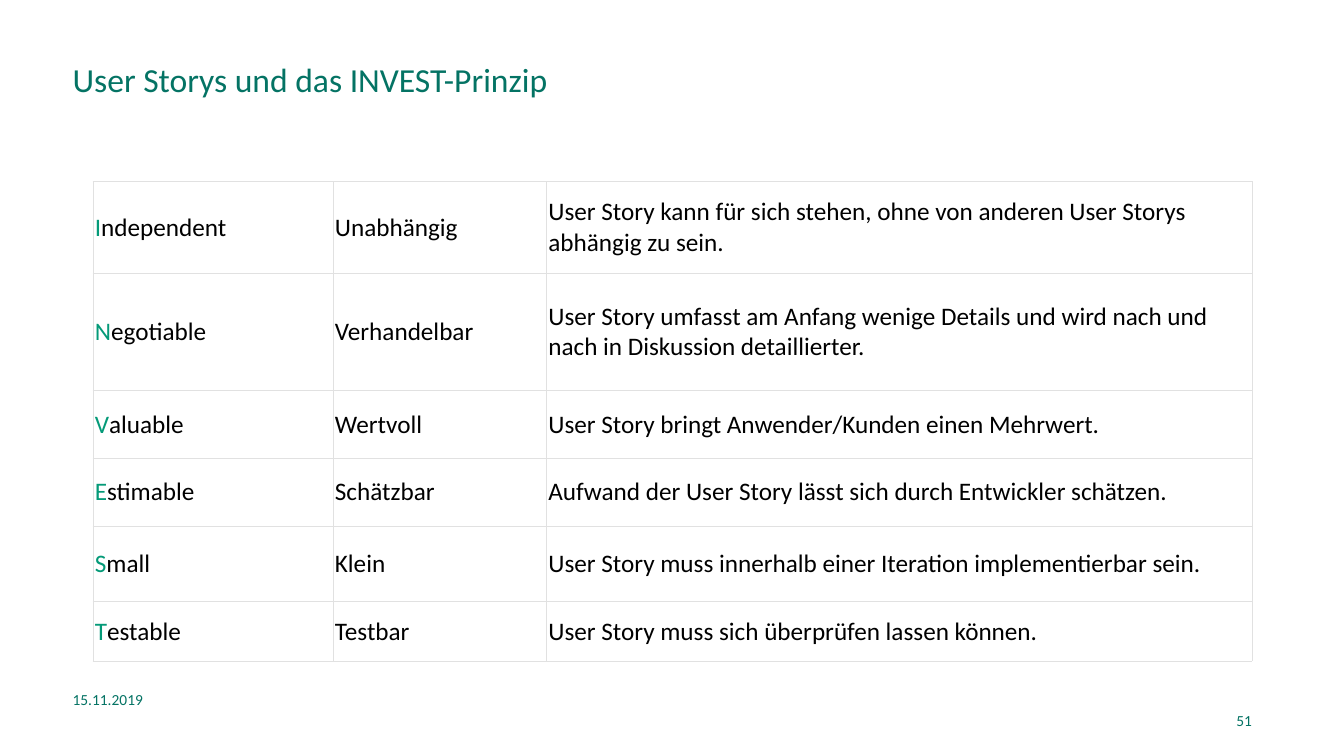
from lxml.etree import SubElement
from pptx import Presentation
from pptx.dml.color import RGBColor
from pptx.enum.text import MSO_ANCHOR as Anchor, PP_ALIGN as Align
from pptx.oxml.ns import qn
from pptx.util import Cm, Pt

DARK_GREEN = RGBColor(0x04, 0x73, 0x64)
BRIGHT_GREEN = RGBColor(0x04, 0x9A, 0x78)
BLACK = RGBColor(0, 0, 0)
WHITE = RGBColor(0xFF, 0xFF, 0xFF)
BORDER_GRAY = RGBColor(0xE1, 0xE1, 0xE1)

COLUMN_WIDTHS = [6.05, 5.38, 17.78]
# Row height, English term, German term, explanation
PRINCIPLES = [
    (2.32, "Independent", "Unabhängig",
     "User Story kann für sich stehen, ohne von anderen User Storys abhängig zu sein."),
    (2.95, "Negotiable", "Verhandelbar",
     "User Story umfasst am Anfang wenige Details und wird nach und nach in Diskussion detaillierter."),
    (1.71, "Valuable", "Wertvoll",
     "User Story bringt Anwender/Kunden einen Mehrwert."),
    (1.71, "Estimable", "Schätzbar",
     "Aufwand der User Story lässt sich durch Entwickler schätzen."),
    (1.9, "Small", "Klein",
     "User Story muss innerhalb einer Iteration implementierbar sein."),
    (1.5, "Testable", "Testbar",
     "User Story muss sich überprüfen lassen können."),
]


class SlideBuilder:
    font_name = "Calibri"
    title_size = Pt(24)
    table_size = Pt(18)
    footer_size = Pt(11)

    def __init__(self, presentation):
        self.slide = presentation.slides.add_slide(presentation.slide_layouts[5])

    def add_run(self, paragraph, text, size, color):
        run = paragraph.add_run()
        run.text = text
        run.font.name = self.font_name
        run.font.size = size
        run.font.color.rgb = color

    def format_frame(self, frame, anchor, bottom=0):
        frame.word_wrap = True
        frame.vertical_anchor = anchor
        frame.margin_left = frame.margin_right = frame.margin_top = 0
        frame.margin_bottom = Cm(bottom)

    def title(self, text, left, top, width, height):
        shape = self.slide.shapes.title
        shape.left, shape.top = Cm(left), Cm(top)
        shape.width, shape.height = Cm(width), Cm(height)
        self.format_frame(shape.text_frame, Anchor.TOP, bottom=0.1)
        paragraph = shape.text_frame.paragraphs[0]
        paragraph.alignment = Align.LEFT
        paragraph.line_spacing = 0.9
        self.add_run(paragraph, text, self.title_size, DARK_GREEN)

    def footer(self, text, left, top, width, height, alignment=Align.LEFT):
        shape = self.slide.shapes.add_textbox(Cm(left), Cm(top), Cm(width), Cm(height))
        self.format_frame(shape.text_frame, Anchor.MIDDLE)
        paragraph = shape.text_frame.paragraphs[0]
        paragraph.alignment = alignment
        self.add_run(paragraph, text, self.footer_size, DARK_GREEN)

    def add_borders(self, cell):
        properties = cell._tc.get_or_add_tcPr()
        for side in ("a:lnL", "a:lnR", "a:lnT", "a:lnB"):
            line = SubElement(properties, qn(side), w=str(Pt(0.38)))
            fill = SubElement(line, qn("a:solidFill"))
            SubElement(fill, qn("a:srgbClr"), val=str(BORDER_GRAY))

    def cell(self, cell, runs):
        self.add_borders(cell)
        cell.fill.solid()
        cell.fill.fore_color.rgb = WHITE
        cell.vertical_anchor = Anchor.MIDDLE
        cell.margin_left = cell.margin_right = Cm(0.05)
        cell.margin_top = cell.margin_bottom = Cm(0.03)
        for text, color in runs:
            self.add_run(cell.text_frame.paragraphs[0], text, self.table_size, color)

    def principles_table(self, left, top):
        heights = [row[0] for row in PRINCIPLES]
        table = self.slide.shapes.add_table(
            len(heights), len(COLUMN_WIDTHS), Cm(left), Cm(top),
            Cm(sum(COLUMN_WIDTHS)), Cm(sum(heights))).table
        table.first_row = table.horz_banding = False
        for column, width in zip(table.columns, COLUMN_WIDTHS):
            column.width = Cm(width)
        for row, (height, english, german, explanation) in zip(table.rows, PRINCIPLES):
            row.height = Cm(height)
            initial_and_rest = [(english[0], BRIGHT_GREEN), (english[1:], BLACK)]
            contents = [initial_and_rest, [(german, BLACK)], [(explanation, BLACK)]]
            for cell, runs in zip(row.cells, contents):
                self.cell(cell, runs)


def main():
    presentation = Presentation()
    presentation.slide_width, presentation.slide_height = Cm(33.87), Cm(19.05)
    builder = SlideBuilder(presentation)
    builder.title("User Storys und das INVEST-Prinzip", 1.83, 1.6, 21.49, 2.49)
    builder.principles_table(2.34, 4.57)
    builder.footer("15.11.2019", 1.83, 17.2, 5, 0.84)
    builder.footer("51", 23.93, 17.65, 7.62, 1.02, Align.RIGHT)
    presentation.save("out.pptx")


if __name__ == "__main__":
    main()
